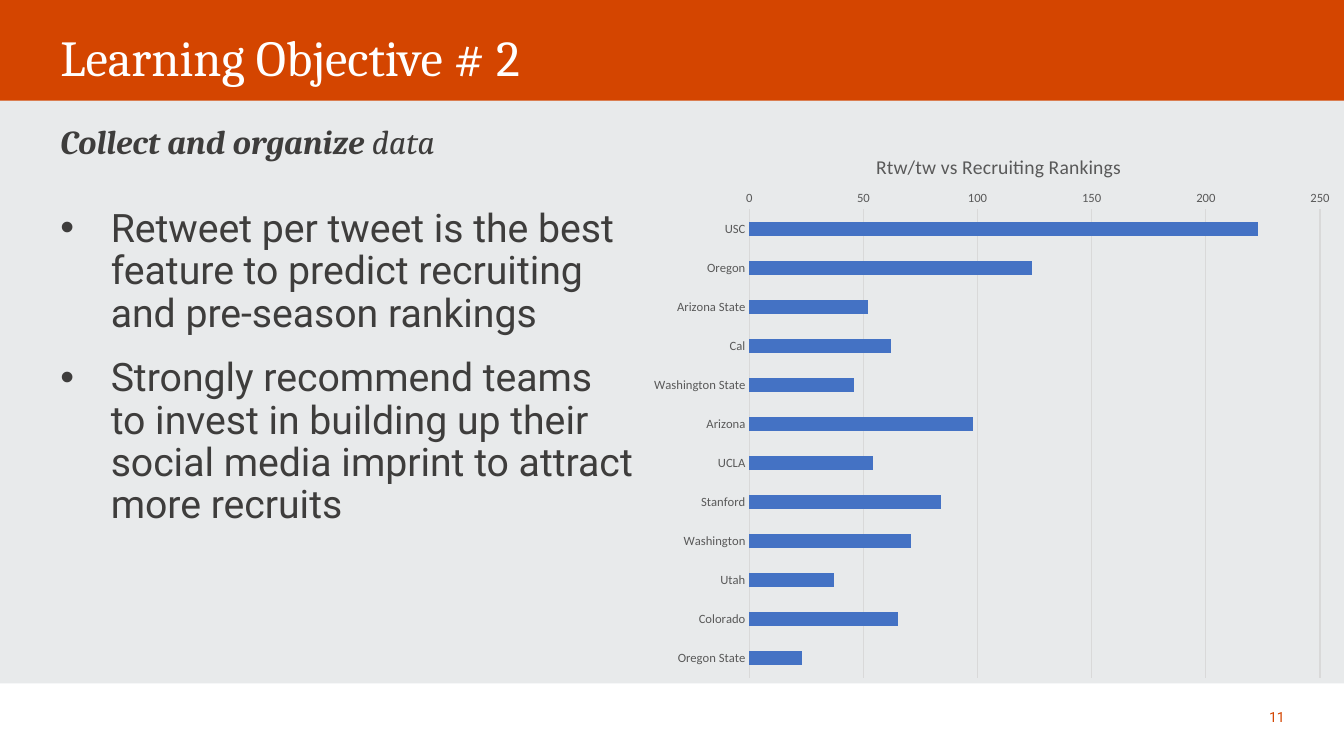
from lxml import etree
from pptx import Presentation
from pptx.chart.data import CategoryChartData
from pptx.dml.color import RGBColor
from pptx.enum.chart import XL_CHART_TYPE, XL_TICK_MARK
from pptx.enum.shapes import MSO_SHAPE
from pptx.enum.text import MSO_ANCHOR, PP_ALIGN
from pptx.oxml.ns import qn
from pptx.util import Emu, Pt

PX = 9144
RECTANGLE = MSO_SHAPE.RECTANGLE
BAR_CLUSTERED = XL_CHART_TYPE.BAR_CLUSTERED
NO_TICK = XL_TICK_MARK.NONE
TOP, MIDDLE = MSO_ANCHOR.TOP, MSO_ANCHOR.MIDDLE
LEFT, RIGHT = PP_ALIGN.LEFT, PP_ALIGN.RIGHT

WIDTH, HEIGHT = 1333, 750
HEADER, FOOTER = 100, 72
MARGIN = 50
ORANGE, WHITE, PALE = "D44500", "FFFFFF", "E8EAEB"
INK, LABEL, RULE, BAR = "3E3D3C", "595959", "D9D9D9", "4472C4"
SERIF, SANS, CHART_FONT = "Cambria", "Roboto", "Calibri"

BULLETS = [
    "Retweet per tweet is the best feature to predict recruiting and pre-season rankings",
    "Strongly recommend teams to invest in building up their social media imprint "
    "to attract more recruits",
]
RANKINGS = {
    "USC": 223, "Oregon": 124, "Arizona State": 52, "Cal": 62,
    "Washington State": 46, "Arizona": 98, "UCLA": 54, "Stanford": 84,
    "Washington": 71, "Utah": 37, "Colorado": 65, "Oregon State": 23,
}


def px(*lengths):
    """Turn px lengths into EMU."""
    return [Emu(length * PX) for length in lengths]


def color(value):
    """Turn a hex string into a colour."""
    return RGBColor.from_string(value)


def style_font(font, name, size, fill):
    """Set the typeface, size and colour of a font."""
    font.name, font.size = name, Pt(size)
    font.color.rgb = color(fill)


def add_band(page, box, fill):
    """Add a plain filled rectangle."""
    band = page.shapes.add_shape(RECTANGLE, *px(*box))
    band.shadow.inherit = False
    band.fill.solid()
    band.fill.fore_color.rgb = color(fill)
    band.line.fill.background()


def add_frame(page, box, anchor=TOP):
    """Add a wrapping text box and return its text frame."""
    frame = page.shapes.add_textbox(*px(*box)).text_frame
    frame.word_wrap = True
    frame.vertical_anchor = anchor
    return frame


def add_span(para, text, name, size, fill, bold=False, italic=False):
    """Add one styled run to a paragraph."""
    span = para.add_run()
    span.text = text
    style_font(span.font, name, size, fill)
    span.font.bold, span.font.italic = bold, italic


def add_line(page, box, spans, align=LEFT, anchor=TOP):
    """Add a text box with one paragraph made of the given spans."""
    para = add_frame(page, box, anchor).paragraphs[0]
    para.alignment = align
    para.line_spacing = 0.9
    for span in spans:
        add_span(para, *span)


def add_bullets(page, box, points):
    """Add a text box with one bulleted paragraph per point."""
    frame = add_frame(page, box)
    for index, point in enumerate(points):
        para = frame.add_paragraph() if index else frame.paragraphs[0]
        para.line_spacing = 0.9
        para.space_before = Pt(10 if index else 0)
        para.space_after = Pt(6)
        properties = para._p.get_or_add_pPr()
        indent = 50 * PX
        properties.set("marL", str(indent))
        properties.set("indent", str(-indent))
        etree.SubElement(properties, qn("a:buFont"), typeface="Arial")
        etree.SubElement(properties, qn("a:buChar"), char="•")
        add_span(para, point, SANS, 28, INK)


def place_part(parent, index, **settings):
    """Fix the place of a chart part as fractions of the chart."""
    for old in parent.findall(qn("c:layout")):
        parent.remove(old)
    layout = etree.Element(qn("c:layout"))
    manual = etree.SubElement(layout, qn("c:manualLayout"))
    for name, value in settings.items():
        etree.SubElement(manual, qn("c:" + name), val=str(value))
    parent.insert(index, layout)


def style_axis(axis):
    """Give an axis its label font and no tick marks."""
    axis.major_tick_mark = axis.minor_tick_mark = NO_TICK
    style_font(axis.tick_labels.font, CHART_FONT, 9, LABEL)


def add_rule(line_format):
    """Give a line the thin grey of the chart."""
    line_format.color.rgb = color(RULE)
    line_format.width = Pt(0.75)


def add_rankings(page, box):
    """Add the bar chart of retweets per tweet by team."""
    data = CategoryChartData()
    data.categories = list(RANKINGS)
    data.add_series("Series 1", list(RANKINGS.values()))
    chart = page.shapes.add_chart(BAR_CLUSTERED, *px(*box), data).chart
    style_font(chart.font, CHART_FONT, 10, "000000")
    chart.has_legend = False

    title = chart.chart_title
    add_span(title.text_frame.paragraphs[0], "Rtw/tw vs Recruiting Rankings",
             CHART_FONT, 14, LABEL)
    title.include_in_layout = False
    place_part(title._element, 1, xMode="edge", yMode="edge", x=0.33, y=0.04)

    teams, values = chart.category_axis, chart.value_axis
    style_axis(teams)
    teams.reverse_order = True
    add_rule(teams.format.line)
    style_axis(values)
    values.minimum_scale, values.maximum_scale, values.major_unit = 0, 250, 50
    values.format.line.fill.background()
    add_rule(values.major_gridlines.format.line)

    plot = chart.plots[0]
    plot.gap_width = 182
    plot.vary_by_categories = False
    bars = plot.series[0].format.fill
    bars.solid()
    bars.fore_color.rgb = color(BAR)
    place_part(plot._element.getparent(), 0, layoutTarget="inner", xMode="edge",
               yMode="edge", x=0.155, y=0.147, w=0.811, h=0.834)


def add_backdrop(page, box):
    """Add the pale page, the orange header and the white footer."""
    left, top, width, height = box
    add_band(page, box, PALE)
    add_band(page, (left, top, width, HEADER), ORANGE)
    add_band(page, (left, top + height - FOOTER, width, FOOTER), WHITE)


def add_objective(page, box):
    """Add the heading, findings, chart and page number."""
    left, top, width, height = box
    column = 591
    inner = left + MARGIN
    add_line(page, (inner, top + 28, width - 2 * MARGIN, 69),
             [("Learning Objective # 2", SERIF, 36, WHITE)])
    add_line(page, (inner, top + 120, column, 50),
             [("Collect and organize", SERIF, 24, INK, True, True),
              (" data", SERIF, 24, INK, False, True)])
    add_bullets(page, (inner, top + 202, column, 384), BULLETS)
    add_rankings(page, (left + 635, top + 126, width - 635, 557))
    add_line(page, (left + width - 141, top + height - 57, 92, 39),
             [("11", SANS, 10, ORANGE)], RIGHT, MIDDLE)


def main():
    """Build the deck and save it."""
    deck = Presentation()
    deck.slide_width, deck.slide_height = px(WIDTH, HEIGHT)
    page = deck.slides.add_slide(deck.slide_layouts[6])
    whole = (0, 0, WIDTH, HEIGHT)
    add_backdrop(page, whole)
    add_objective(page, whole)
    deck.save("out.pptx")


if __name__ == "__main__":
    main()
